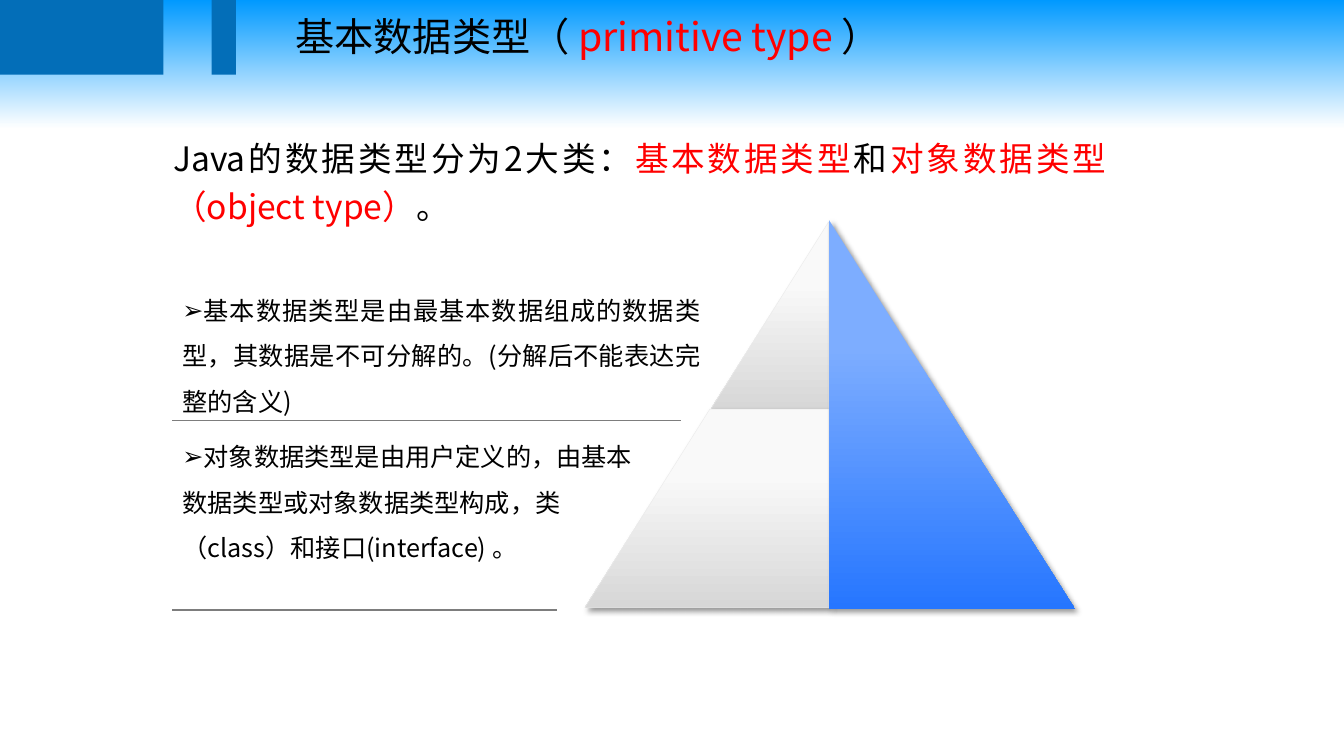
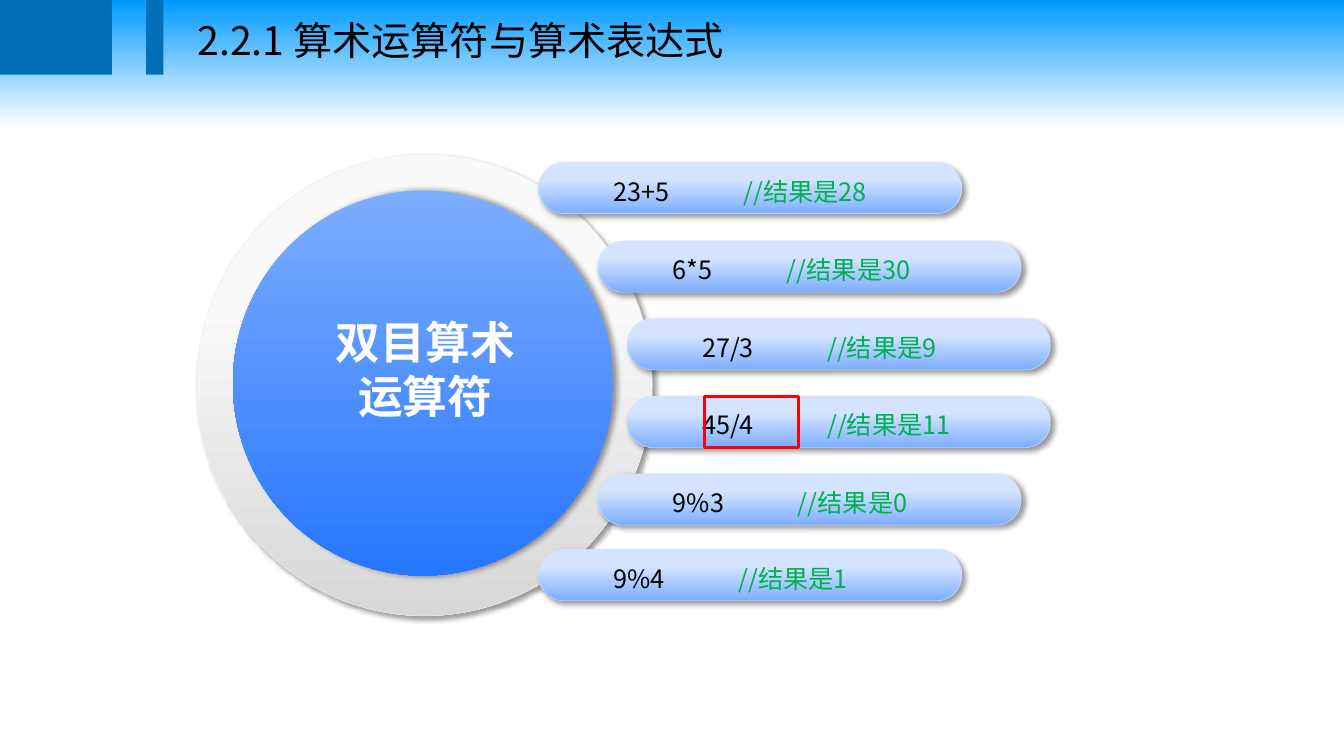
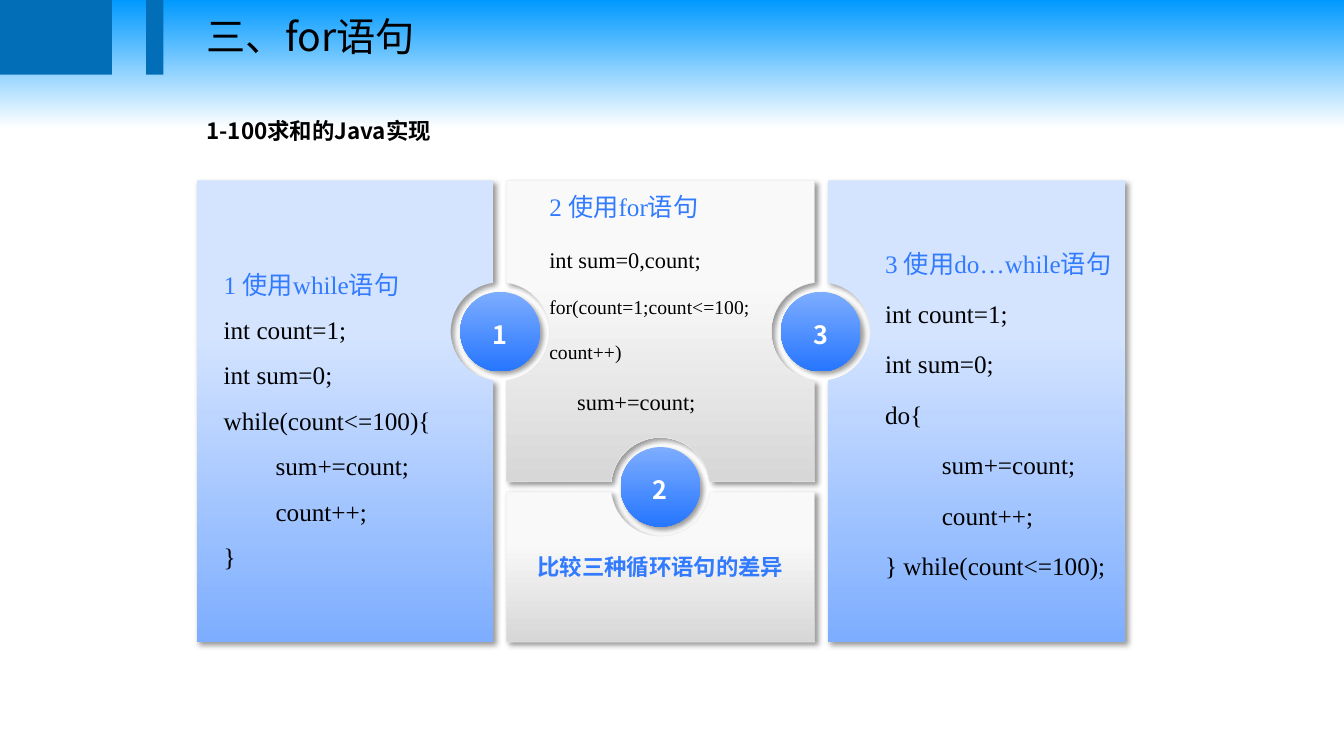
from math import cos, radians, sin

from lxml.etree import SubElement
from pptx import Presentation
from pptx.dml.color import RGBColor
from pptx.enum.shapes import MSO_CONNECTOR, MSO_SHAPE as SHAPE
from pptx.enum.text import MSO_ANCHOR as ANCHOR, MSO_AUTO_SIZE, PP_ALIGN as ALIGN
from pptx.oxml.ns import qn
from pptx.util import Inches, Pt

COLORS = {
    "black": "000000", "white": "FFFFFF", "red": "FF0000", "green": "00B050",
    "sky": "0099FF", "band": "036EB8", "heading": "327BFF", "rule": "7D7D7D",
    "silver": "EAEAEA", "ice": "D4E4FF",
}
RGB = {name: RGBColor.from_string(value) for name, value in COLORS.items()}
# Gradients: (position, colour) at top and bottom, then the edge colour
LOOKS = {
    "grey": ((0.33, "F9F9F9"), (1, "D7D7D7"), "silver"),
    "pale": ((0.33, "D4E4FF"), (1, "7DADFF"), None),
    "pill": ((0.33, "D4E4FF"), (1, "7DADFF"), "ice"),
    "blue": ((0.33, "7DADFF"), (1, "2676FF"), None),
    "ball": ((0, "7DADFF"), (1, "2676FF"), None),
}
SANS, JP, SERIF = "Noto Sans CJK SC", "Noto Sans CJK JP", "Times New Roman"
TOP = {"vertical_anchor": ANCHOR.TOP}
MIDDLE = {"vertical_anchor": ANCHOR.MIDDLE}
NO_INSET = {"margin_left": 0, "margin_right": 0}


def write(frame, lines, size, color="black", face=SANS, bold=False, box=TOP,
          bullet=None, hang=None, tab=None, gap=0, **layout):
    """Fill a frame; a line is a list of (text, colour, size) runs."""
    for key, value in {"word_wrap": True, "auto_size": MSO_AUTO_SIZE.NONE, **box}.items():
        setattr(frame, key, value)
    for number, line in enumerate(lines):
        paragraph = frame.add_paragraph() if number else frame.paragraphs[0]
        p_pr = paragraph._p.get_or_add_pPr()
        if hang:
            p_pr.set("marL", str(Inches(hang[0])))
            p_pr.set("indent", str(Inches(hang[1])))
        if bullet:
            SubElement(p_pr, qn("a:buChar"), char=bullet)
        if tab:
            stops = SubElement(p_pr, qn("a:tabLst"))
            SubElement(stops, qn("a:tab"), pos=str(Inches(tab)), algn="l")
        for key, value in {"alignment": ALIGN.LEFT, **layout}.items():
            setattr(paragraph, key, value)
        line_size = line[0][2] if len(line[0]) > 2 else size
        paragraph.space_before = Pt(gap * line_size if number else 0)
        for text, *own in line:
            run = paragraph.add_run()
            run.text = text
            run.font.color.rgb = RGB[own[0] if own else color]
            style = {"size": Pt(line_size), "name": face, "bold": bold}
            for key, value in style.items():
                setattr(run.font, key, value)
            SubElement(run._r.rPr, qn("a:ea"), typeface=JP if face == JP else SANS)


def paint(shape, look, direction=45):
    """Give a shape a vertical gradient, its edge and a soft shadow."""
    *stops, edge = LOOKS[look]
    shape.fill.gradient()
    shape.fill.gradient_angle = 270
    for stop, (position, color) in zip(shape.fill.gradient_stops, stops):
        stop.position, stop.color.rgb = position, RGBColor.from_string(color)
    if edge:
        shape.line.color.rgb = RGB[edge]
        shape.line.width = Pt(0.25)
    else:
        shape.line.fill.background()
    shape.shadow.inherit = False
    effects = shape._element.spPr.find(qn("a:effectLst"))
    shadow = SubElement(effects, qn("a:outerShdw"), blurRad=str(Pt(4)), dist=str(Pt(3)),
                        dir=str(direction * 60000), algn="ctr", rotWithShape="0")
    tint = SubElement(shadow, qn("a:srgbClr"), val=COLORS["black"])
    SubElement(tint, qn("a:alpha"), val="40000")


prs = Presentation()
prs.slide_width, prs.slide_height = Inches(13.33), Inches(7.5)

# Shared background
backdrop = prs.slide_master.background.fill
backdrop.gradient()
backdrop.gradient_angle = 270
for stop, position, color in zip(backdrop.gradient_stops, (0, 0.17), ("sky", "white")):
    stop.position, stop.color.rgb = position, RGB[color]

# Slides with their two bands and title
WIDE, NARROW = ((0, 1.62), (2.1, 0.24)), ((0, 1.11), (1.45, 0.17))
slides = []
for layout, bands, (left, top, width), face, heading in (
    (3, WIDE, (2.83, 0.07, 8.37), SANS,
     [("基本数据类型（",), (" primitive type ", "red"), ("）",)]),
    (5, NARROW, (1.86, 0.11, 5.77), SANS, [("2.2.1 算术运算符与算术表达式",)]),
    (5, NARROW, (1.95, 0.07, 5.77), JP, [("三、for语句",)]),
):
    slide = prs.slides.add_slide(prs.slide_layouts[layout])
    slides.append(slide)
    for band_left, band_width in bands:
        band = slide.shapes.add_shape(SHAPE.RECTANGLE, Inches(band_left), 0,
                                      Inches(band_width), Inches(0.74))
        band.fill.solid()
        band.fill.fore_color.rgb = RGB["band"]
        band.line.fill.background()
        band.shadow.inherit = False
    title = slide.shapes.title
    title.left, title.top, title.width, title.height = map(Inches, (left, top, width, 0.57))
    write(title.text_frame, [heading], 28, face=face)
types, operators, loops = slides

# Triangle parts and notched panels; a four-value entry is an arc (x, y, from, to)
NOTCH = 0.49
badges = {"1": (4.96, 3.29), "2": (6.55, 4.83), "3": (8.14, 3.29)}
first, second, third = badges.values()
for slide, look, outline, caption in (
    (types, "grey", [(8.22, 2.2), (8.22, 4.06), (7.05, 4.06)], None),
    (types, "grey", [(7.04, 4.06), (8.22, 4.06), (8.22, 6.03), (5.8, 6.03)], None),
    (types, "blue", [(8.22, 2.18), (8.22, 6.04), (10.66, 6.04)], None),
    (loops, "pale", [(1.95, 1.79), (4.89, 1.79), (*first, -98, -262),
                     (4.89, 6.37), (1.95, 6.37)], None),
    (loops, "pale", [(8.21, 1.79), (11.16, 1.79), (11.16, 6.37), (8.21, 6.37),
                     (*third, 82, -82)], None),
    (loops, "grey", [(5.02, 1.79), (8.08, 1.79), (*third, -97, -263), (8.08, 4.78),
                     (*second, -6, -174), (5.02, 4.78), (*first, 83, -83)], None),
    (loops, "grey", [(5.02, 4.88), (*second, 174, 6), (8.08, 4.88), (8.08, 6.37),
                     (5.02, 6.37)], "比较三种循环语句的差异"),
):
    points, arcs = [], []
    for x, y, *angles in outline:
        if angles:
            arcs.append((len(points), *angles))
            points += [(x + NOTCH * cos(radians(a)), y + NOTCH * sin(radians(a)))
                       for a in angles]
        else:
            points.append((x, y))
    points = [(Inches(x), Inches(y)) for x, y in points]
    builder = slide.shapes.build_freeform(*points[0])
    builder.add_line_segments(points[1:], close=True)
    piece = builder.convert_to_shape()
    # Bend the straight side between the two ends of each notch
    sides = list(piece._element.iter(qn("a:lnTo")))
    for index, start, end in arcs:
        side = sides[index]
        bend = SubElement(side.getparent(), qn("a:arcTo"),
                          wR=str(Inches(NOTCH)), hR=str(Inches(NOTCH)),
                          stAng=str(start % 360 * 60000), swAng=str((end - start) * 60000))
        side.getparent().replace(side, bend)
    paint(piece, look)
    if caption:
        write(piece.text_frame, [[(caption,)]], 16, "heading", bold=True, box=MIDDLE,
              alignment=ALIGN.CENTER)

# Slide 1: introduction, two definitions and their rules
intro = types.shapes.add_textbox(Inches(1.62), Inches(1.24), Inches(9.45), Inches(1.03))
write(intro.text_frame, [[("Java的数据类型分为2大类：",), ("基本数据类型", "red"), ("和",),
                          ("对象数据类型（object type）", "red"), ("。",)]],
      24, alignment=ALIGN.JUSTIFY, line_spacing=1.2)
for index, top, width, alignment, rule_top, rule_end, text in (
    (1, 2.73, 5.34, ALIGN.JUSTIFY, 4.17, 6.75,
     "基本数据类型是由最基本数据组成的数据类型，其数据是不可分解的。(分解后不能表达完整的含义)"),
    (2, 4.18, 4.89, ALIGN.LEFT, 6.05, 5.52,
     "对象数据类型是由用户定义的，由基本数据类型或对象数据类型构成，类（class）和接口(interface) 。"),
):
    definition = types.placeholders[index]
    definition.left, definition.top = Inches(1.71), Inches(top)
    definition.width, definition.height = Inches(width), Inches(1.41)
    write(definition.text_frame, [[(text,)]], 18, bullet="➢", hang=(0, -0.25),
          alignment=alignment, line_spacing=1.5)
    rule = types.shapes.add_connector(MSO_CONNECTOR.STRAIGHT, Inches(1.71), Inches(rule_top),
                                      Inches(rule_end), Inches(rule_top))
    rule.line.color.rgb = RGB["rule"]
    rule.line.width = Pt(1)
    SubElement(rule._element.spPr, qn("a:effectLst"))

# Slide 2: ring and disc with the topic
ring = operators.shapes.add_shape(SHAPE.DONUT, Inches(1.95), Inches(1.53),
                                  Inches(4.52), Inches(4.58))
ring.adjustments[0] = 0.09
paint(ring, "grey")
disc = operators.shapes.add_shape(SHAPE.OVAL, Inches(2.31), Inches(1.89),
                                  Inches(3.77), Inches(3.82))
paint(disc, "ball", direction=0)
topic = operators.shapes.add_textbox(Inches(2.8), Inches(3.07), Inches(2.84), Inches(1.18))
write(topic.text_frame, [[("双目算术",)], [("运算符",)]], 32, "white", bold=True,
      alignment=ALIGN.CENTER)

# Expressions around the ring, each with the tab stop of its result
PILL_HEIGHT = 0.51
for left, top, expression, result, tab in (
    (5.34, 1.61, "23+5", 28, 1.29), (5.93, 2.39, "6*5", 30, 1.13),
    (6.22, 3.16, "27/3", 9, 1.24), (6.22, 3.93, "45/4", 11, 1.24),
    (5.93, 4.7, "9%3", 0, 1.24), (5.34, 5.45, "9%4", 1, 1.24),
):
    pill = operators.shapes.add_shape(SHAPE.ROUNDED_RECTANGLE, Inches(left), Inches(top),
                                      Inches(4.2), Inches(PILL_HEIGHT))
    pill.adjustments[0] = 0.5
    paint(pill, "pill")
    write(pill.text_frame, [[(expression + "\t",), (f"//结果是{result}", "green")]], 18,
          box={**MIDDLE, **NO_INSET, "margin_left": Inches(0.67)}, tab=tab,
          line_spacing=1.2)

# Frame on the integer division
marker = operators.shapes.add_shape(SHAPE.RECTANGLE, Inches(6.99), Inches(3.93),
                                    Inches(0.93), Inches(PILL_HEIGHT))
marker.fill.background()
marker.line.color.rgb = RGB["red"]
marker.line.width = Pt(2.25)
marker.shadow.inherit = False

# Slide 3: numbered badges
BADGE = 0.79
for number, (x, y) in badges.items():
    badge = loops.shapes.add_shape(SHAPE.OVAL, Inches(x - BADGE / 2), Inches(y - BADGE / 2),
                                   Inches(BADGE), Inches(BADGE))
    paint(badge, "ball")
    write(badge.text_frame, [[(number,)]], 18, "white", bold=True,
          box={**MIDDLE, **NO_INSET, "margin_top": 0, "margin_bottom": 0},
          alignment=ALIGN.CENTER, line_spacing=1.2)

# Subject and the three loop listings
subject = loops.shapes.add_textbox(Inches(1.95), Inches(1.11), Inches(7.66), Inches(0.37))
write(subject.text_frame, [[("1-100求和的Java实现",)]], 16, bold=True)
for place, gap, indents, heading, code in (
    ((2.12, 2.47, 2.6, 3.28), 0, {"tab": 0.39}, "1 使用while语句",
     [("int count=1;", 18), ("int sum=0;", 18), ("while(count<=100){", 18),
      ("\t  sum+=count;", 18), ("\t  count++;", 18), ("}", 18)]),
    ((5.35, 1.7, 2.4, 2.57), 0.5, {}, "2 使用for语句",
     [("int sum=0,count;", 16), ("for(count=1;count<=100;", 14), ("count++)", 14),
      ("     sum+=count;", 16)]),
    ((8.68, 2.26, 2.48, 3.65), 0.2, {"hang": (0.5, -0.5)}, "3 使用do…while语句",
     [("int count=1;", 18), ("int sum=0;", 18), ("do{", 18), ("\t sum+=count;", 18),
      ("\t count++;", 18), ("} while(count<=100);", 18)]),
):
    listing = loops.shapes.add_textbox(*map(Inches, place))
    lines = [[(heading, "heading")]] + [[(text, "black", size)] for text, size in code]
    write(listing.text_frame, lines, 18, face=SERIF, line_spacing=1.5, gap=gap, **indents)

prs.save("out.pptx")
